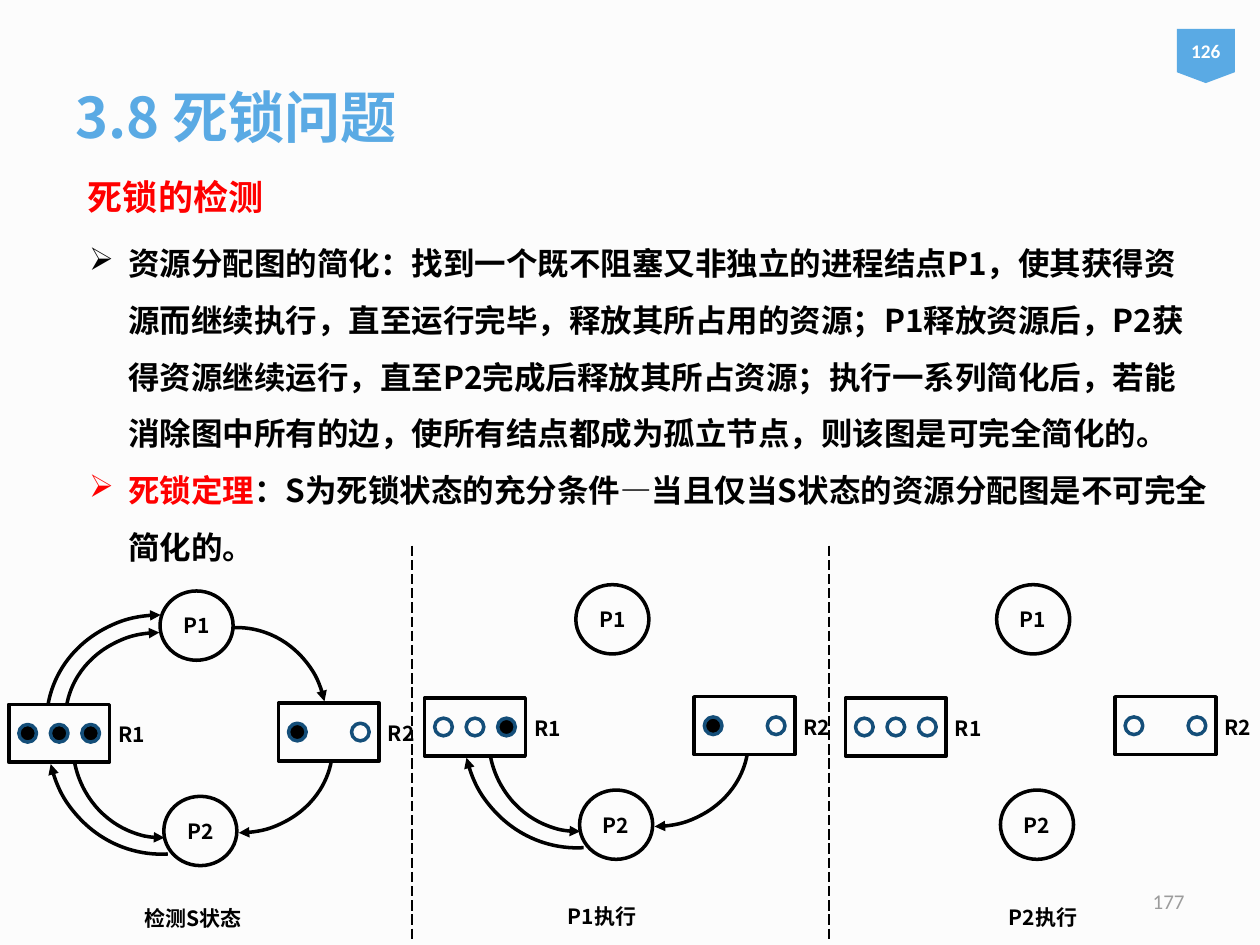
from lxml.etree import SubElement as Sub
from pptx import Presentation
from pptx.dml.color import RGBColor
from pptx.enum.dml import MSO_LINE as Dash
from pptx.enum.shapes import MSO_CONNECTOR as Conn, MSO_SHAPE as Geo
from pptx.enum.text import MSO_ANCHOR as Anchor, PP_ALIGN as Align
from pptx.oxml.ns import qn
from pptx.util import Inches, Pt

SANS, BLUE, RED, INK, RING = "Noto Sans CJK SC", "5AAAE4", "FF0000", "000000", "144E79"

BODY = [
    [("资源分配图的简化：找到一个既不阻塞又非独立的进程结点P1，使其获得资源而继续执行，"
      "直至运行完毕，释放其所占用的资源；P1释放资源后，P2获得资源继续运行，"
      "直至P2完成后释放其所占资源；执行一系列简化后，若能消除图中所有的边，"
      "使所有结点都成为孤立节点，则该图是可完全简化的。", INK)],
    [("死锁定理", RED),
     ("：S为死锁状态的充分条件—当且仅当S状态的资源分配图是不可完全简化的。", INK)],
]

ARCS = {
    "P1-R2": (1.13, -0.61, 1.39, 1.46, 348.1, "tailEnd"),
    "R2-P2": (1.14, -0.41, 1.37, 1.49, 90, "tailEnd"),
    "R1-P1 inner": (0.51, -0.63, 1.37, 1.49, 270, "tailEnd"),
    "R1-P1 outer": (0.36, -0.77, 1.69, 1.81, 270, "tailEnd"),
    "P2-R1": (0.31, -0.64, 1.78, 1.83, 167.1, "tailEnd"),
    "R1-P2": (0.51, -0.4, 1.39, 1.46, 168.6, "headEnd"),
}
NODES = [("P1", 1.2, -0.9), ("P2", 1.23, 0.73)]
BOXES = [("R1", 0, 0, 0.25), ("R2", 2.14, -0.01, 0.5)]

PANELS = [
    (0.07, 5.59, [(1, 1, 1), (1, 0)], list(ARCS), "检测S状态", 1.05, 7.14),
    (3.37, 5.54, [(0, 0, 1), (1, 0)], ["R2-P2", "P2-R1", "R1-P2"], "P1执行", 4.41, 7.12),
    (6.71, 5.54, [(0, 0, 0), (0, 0)], [], "P2执行", 7.91, 7.13),
]
SPLITS = [3.27, 6.58]

prs = Presentation()
prs.slide_width, prs.slide_height = Inches(10), Inches(7.5)
slide = prs.slides.add_slide(prs.slide_layouts[6])
shapes = slide.shapes


def rgb(code):
    return RGBColor.from_string(code)


def style(par, size, color=INK, face=SANS, bold=True):
    font = par.font
    font.size, font.name, font.bold = Pt(size), face, bold
    font.color.rgb = rgb(color)
    Sub(par._p.pPr.find(qn("a:defRPr")), qn("a:ea"), typeface=face)


def label(x, y, w, h, text, size, color=INK, face=SANS, bold=True,
          anchor=Anchor.TOP, align=Align.LEFT):
    box = shapes.add_textbox(*map(Inches, (x, y, w, h)))
    frame = box.text_frame
    frame.word_wrap, frame.vertical_anchor = True, anchor
    par = frame.paragraphs[0]
    par.text, par.alignment = text, align
    style(par, size, color, face, bold)
    return par


def shape(home, geo, x, y, w, h, fill=None, line=None):
    item = home.add_shape(geo, *map(Inches, (x, y, w, h)))
    item.shadow.inherit = False
    if fill:
        item.fill.solid()
        item.fill.fore_color.rgb = rgb(fill)
    else:
        item.fill.background()
    if line:
        item.line.color.rgb, item.line.width = rgb(line), Pt(2)
    else:
        item.line.fill.background()
    return item


def caption(item, text, size, color=INK, face=SANS):
    frame = item.text_frame
    frame.margin_left = frame.margin_right = 0
    frame.vertical_anchor = Anchor.MIDDLE
    par = frame.paragraphs[0]
    par.text, par.alignment = text, Align.CENTER
    style(par, size, color, face)


def store(x, y, step, units):
    group = shapes.add_group_shape().shapes
    shape(group, Geo.RECTANGLE, x, y, 0.8, 0.46, line=INK)
    for i, used in enumerate(units):
        shape(group, Geo.FLOWCHART_CONNECTOR, x + 0.08 + i * step, y + 0.16,
              0.14, 0.14, INK if used else None, RING)


def edge(x, y, w, h, turn, end):
    arc = shape(shapes, Geo.ARC, x, y, w, h, line=INK)
    arc.rotation = turn
    arc.adjustments[0], arc.adjustments[1] = 167.42, 0
    Sub(arc.line._get_or_add_ln(), qn("a:" + end), type="triangle")


def body():
    box = shapes.add_textbox(*map(Inches, (0.61, 1.74, 9.07, 2.77)))
    frame = box.text_frame
    frame.word_wrap = True
    for i, runs in enumerate(BODY):
        par = frame.add_paragraph() if i else frame.paragraphs[0]
        par.line_spacing = 1.5
        props = par._p.get_or_add_pPr()
        props.set("marL", str(Inches(0.31)))
        props.set("indent", str(-Inches(0.31)))
        Sub(props, qn("a:buChar"), char="➢")
        style(par, 18, runs[0][1])
        for text, color in runs:
            run = par.add_run()
            run.text = text
            run.font.color.rgb = rgb(color)


def panel(x, y, units, edges, text, left, top):
    for name, dx, dy in NODES:
        node = shape(shapes, Geo.FLOWCHART_CONNECTOR, x + dx, y + dy, 0.58, 0.55, line=INK)
        caption(node, name, 12)
    for (name, dx, dy, step), used in zip(BOXES, units):
        store(x + dx, y + dy, step, used)
        label(x + dx + 0.77, y + dy + 0.09, 0.46, 0.27, name, 12)
    for key in edges:
        dx, dy, *rest = ARCS[key]
        edge(x + dx, y + dy, *rest)
    label(left, top, 1.14, 0.3, text, 12)


back = slide.background.fill
back.solid()
back.fore_color.rgb = rgb("FCFCFC")

label(0.5, 0.3, 9, 1.25, "3.8 死锁问题", 32, BLUE, anchor=Anchor.MIDDLE)
label(0.6, 1.18, 8.74, 0.75, "死锁的检测", 20, RED).line_spacing = 1.5
body()
badge = shape(shapes, Geo.FLOWCHART_OFFPAGE_CONNECTOR, 9.34, 0.23, 0.46, 0.43, BLUE)
caption(badge, "126", 11, "FFFFFF", "Calibri")

for part in PANELS:
    panel(*part)
for x in SPLITS:
    rule = shapes.add_connector(Conn.STRAIGHT, *map(Inches, (x, 4.33, x, 7.48)))
    rule.line.color.rgb, rule.line.width = rgb(INK), Pt(0.75)
    rule.line.dash_style = Dash.LONG_DASH
    Sub(rule._element.spPr, qn("a:effectLst"))
label(7.17, 6.95, 2.33, 0.4, "177", 12, "9C9C9C", "Calibri", False,
      Anchor.MIDDLE, Align.RIGHT)

prs.save("out.pptx")
